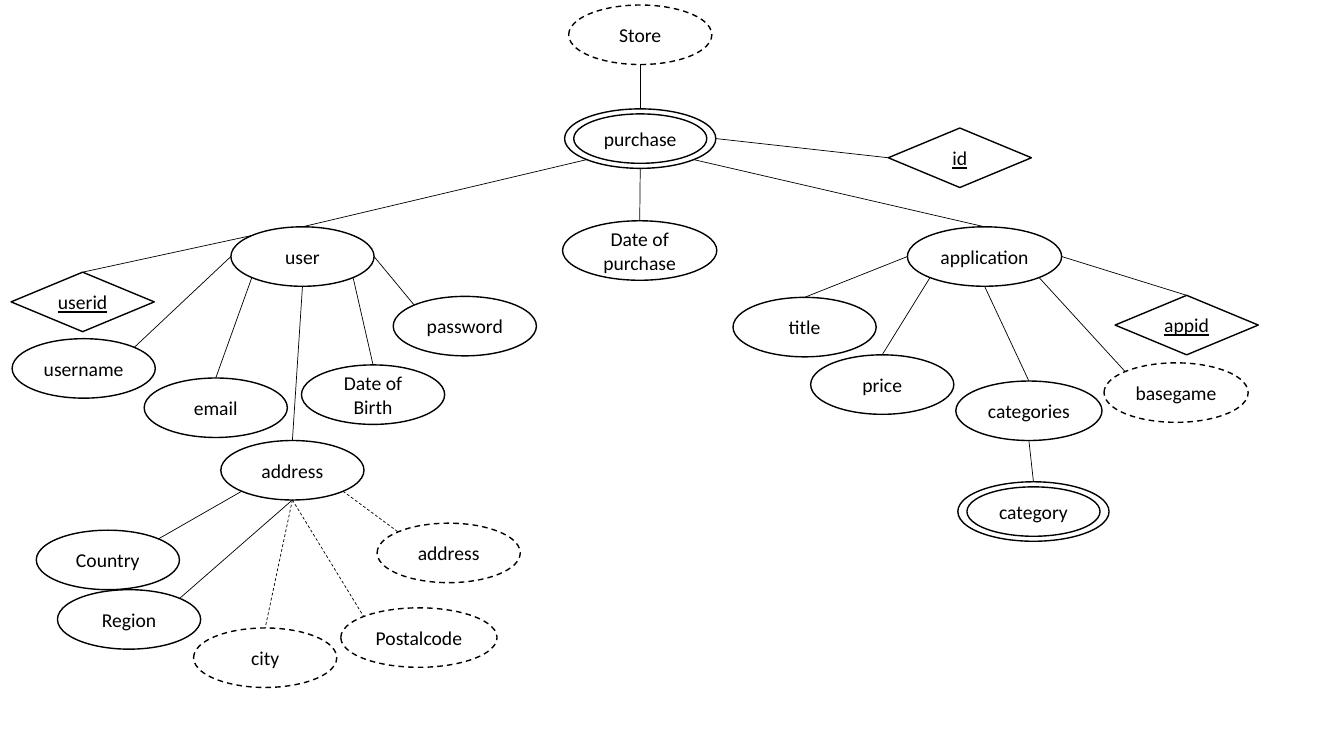
from math import cos, radians, sin

from lxml.etree import SubElement
from pptx import Presentation
from pptx.dml.color import RGBColor
from pptx.enum.dml import MSO_LINE
from pptx.enum.shapes import MSO_CONNECTOR, MSO_SHAPE
from pptx.enum.text import MSO_ANCHOR, PP_ALIGN
from pptx.oxml.ns import qn
from pptx.util import Inches, Pt

BLACK = RGBColor(0, 0, 0)
WHITE = RGBColor(255, 255, 255)
FONT = "Calibri"
SIZE = Pt(14)
WIDTH, HEIGHT = 1.42, 0.59
RING_X, RING_Y = 0.09, 0.05
SITES = ["top", "top left", "left", "bottom left", "bottom", "bottom right", "right", "top right"]


class Diagram:
    def __init__(self, s):
        self.s = s
        self.nodes = {}

    def line(self, line, width, dashed):
        line.color.rgb = BLACK
        line.width = Pt(width)
        if dashed:
            line.dash_style = MSO_LINE.DASH

    def shape(self, shapes, kind, x, y, w, h, dashed=False):
        sp = shapes.add_shape(kind, Inches(x), Inches(y), Inches(w), Inches(h))
        sp.shadow.inherit = False
        sp.fill.background()
        self.line(sp.line, 1, dashed)
        return sp

    def label(self, sp, text, underline=False):
        sp.fill.solid()
        sp.fill.fore_color.rgb = WHITE
        tf = sp.text_frame
        tf.word_wrap = True
        tf.vertical_anchor = MSO_ANCHOR.MIDDLE
        tf.margin_left = tf.margin_right = Inches(0.1 if " " in text else 0.05)
        p = tf.paragraphs[0]
        p.alignment = PP_ALIGN.CENTER
        r = p.add_run()
        r.text = text
        r.font.name = FONT
        r.font.size = SIZE
        r.font.color.rgb = BLACK
        if underline:
            r.font.underline = True

    def oval(self, name, text, x, y, w=WIDTH, dashed=False):
        sp = self.shape(self.s.shapes, MSO_SHAPE.OVAL, x, y, w, HEIGHT, dashed)
        self.label(sp, text)
        self.nodes[name] = sp

    def key(self, name, x, y):
        sp = self.shape(self.s.shapes, MSO_SHAPE.DIAMOND, x, y, WIDTH, HEIGHT)
        self.label(sp, name, underline=True)
        self.nodes[name] = sp

    def double_oval(self, name, x, y, w=1.5):
        shapes = self.s.shapes.add_group_shape().shapes
        self.nodes[name] = self.shape(shapes, MSO_SHAPE.OVAL, x, y, w, HEIGHT)
        inner = self.shape(shapes, MSO_SHAPE.OVAL, x + RING_X, y + RING_Y,
                           w - 2 * RING_X, HEIGHT - 2 * RING_Y)
        self.label(inner, name)

    def point(self, name, site):
        sp = self.nodes[name]
        angle = radians(90 + 45 * SITES.index(site))
        x = sp.left + sp.width / 2 * (1 + cos(angle))
        y = sp.top + sp.height / 2 * (1 - sin(angle))
        return round(x), round(y)

    def link(self, start, start_site, end, end_site, dashed=False):
        cx = self.s.shapes.add_connector(
            MSO_CONNECTOR.STRAIGHT, *self.point(start, start_site), *self.point(end, end_site))
        self.line(cx.line, 0.5, dashed)
        SubElement(cx.element.spPr, qn("a:effectLst"))
        props = cx.element.find(".//" + qn("p:cNvCxnSpPr"))
        for tag, name, site in (("a:stCxn", start, start_site), ("a:endCxn", end, end_site)):
            sp = self.nodes[name]
            step = 2 if sp.auto_shape_type == MSO_SHAPE.DIAMOND else 1
            SubElement(props, qn(tag), id=str(sp.shape_id), idx=str(SITES.index(site) // step))


OVALS = [
    ("user", "user", 2.29, 2.25),
    ("username", "username", 0.12, 3.36),
    ("email", "email", 1.43, 3.75),
    ("password", "password", 3.9, 2.94),
    ("birth", "Date of Birth", 2.99, 3.62),
    ("country", "Country", 0.36, 5.26),
    ("region", "Region", 0.57, 5.85),
    ("address", "address", 2.19, 4.37),
    ("application", "application", 9, 2.25, 1.53),
    ("title", "title", 7.27, 2.95),
    ("price", "price", 8.04, 3.52),
    ("categories", "categories", 9.48, 3.78, 1.45),
    ("purchase date", "Date of purchase", 5.58, 2.19, 1.53),
]
DASHED_OVALS = [
    ("store", "Store", 5.64, 0.05),
    ("city", "city", 1.92, 6.23),
    ("postalcode", "Postalcode", 3.38, 6.03, 1.55),
    ("street", "address", 3.74, 5.19),
    ("basegame", "basegame", 10.95, 3.6, 1.43),
]
KEYS = [("id", 8.81, 1.27), ("userid", 0.11, 2.7), ("appid", 11.06, 2.93)]
DOUBLE_OVALS = [("purchase", 5.6, 1.08), ("category", 9.5, 4.78)]
LINKS = [
    ("store", "bottom", "purchase", "top"),
    ("purchase", "bottom left", "user", "top"),
    ("purchase", "bottom", "purchase date", "top"),
    ("purchase", "bottom right", "application", "top"),
    ("purchase", "right", "id", "left"),
    ("user", "top left", "userid", "top"),
    ("user", "left", "username", "top right"),
    ("user", "bottom left", "email", "top"),
    ("user", "bottom", "address", "top"),
    ("user", "bottom right", "birth", "top"),
    ("user", "right", "password", "top left"),
    ("address", "bottom left", "country", "top right"),
    ("address", "bottom", "region", "top right"),
    ("application", "left", "title", "top"),
    ("application", "bottom left", "price", "top"),
    ("application", "bottom", "categories", "top"),
    ("application", "bottom right", "basegame", "top left"),
    ("application", "right", "appid", "top"),
    ("categories", "bottom", "category", "top"),
]
DASHED_LINKS = [
    ("address", "bottom", "city", "top"),
    ("address", "bottom", "postalcode", "top left"),
    ("address", "bottom right", "street", "top left"),
]

prs = Presentation()
prs.slide_width = Inches(13.33)
prs.slide_height = Inches(7.5)
d = Diagram(prs.slides.add_slide(prs.slide_layouts[6]))
for oval in OVALS:
    d.oval(*oval)
for oval in DASHED_OVALS:
    d.oval(*oval, dashed=True)
for key in KEYS:
    d.key(*key)
for oval in DOUBLE_OVALS:
    d.double_oval(*oval)
for link in LINKS:
    d.link(*link)
for link in DASHED_LINKS:
    d.link(*link, dashed=True)
prs.save("out.pptx")
